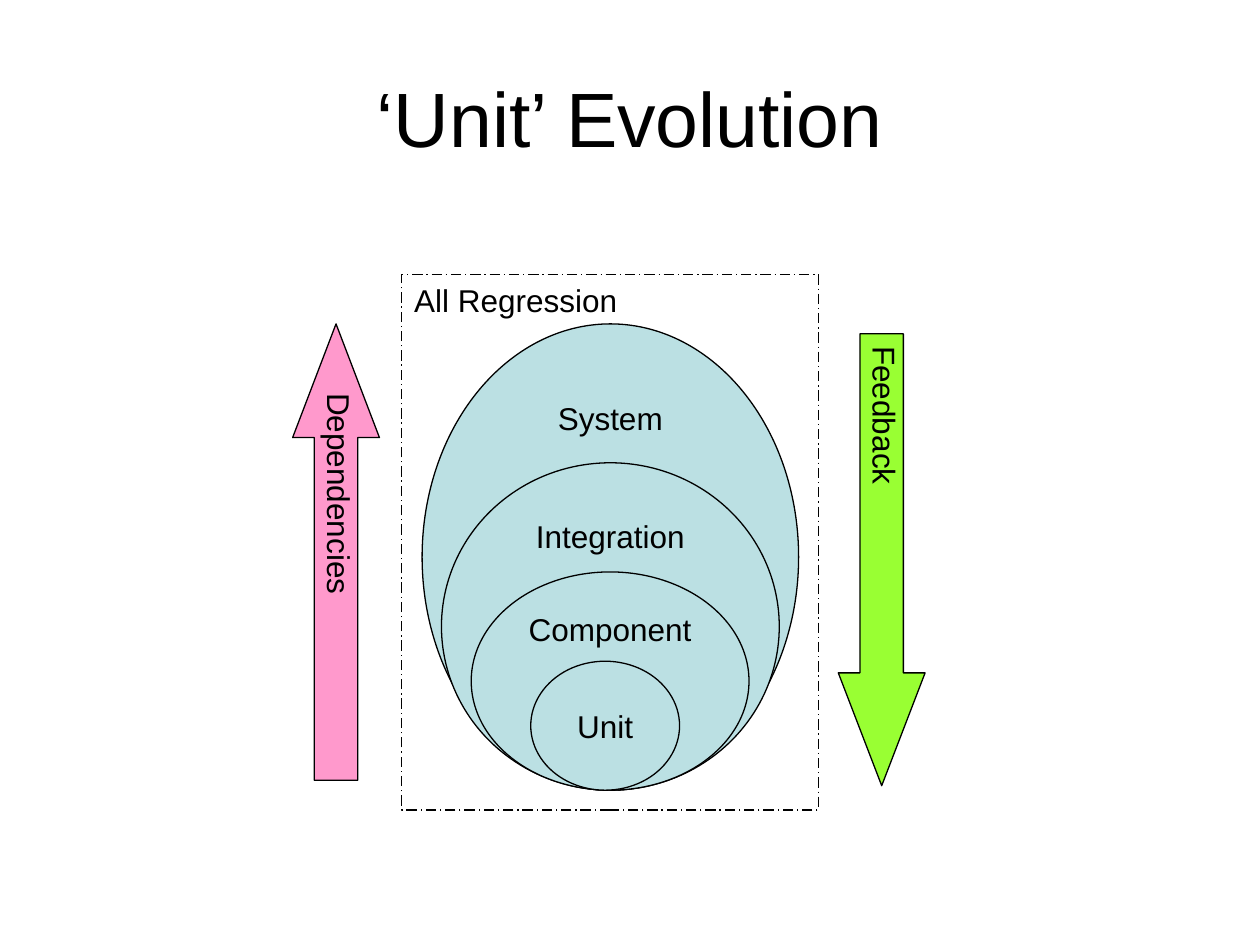
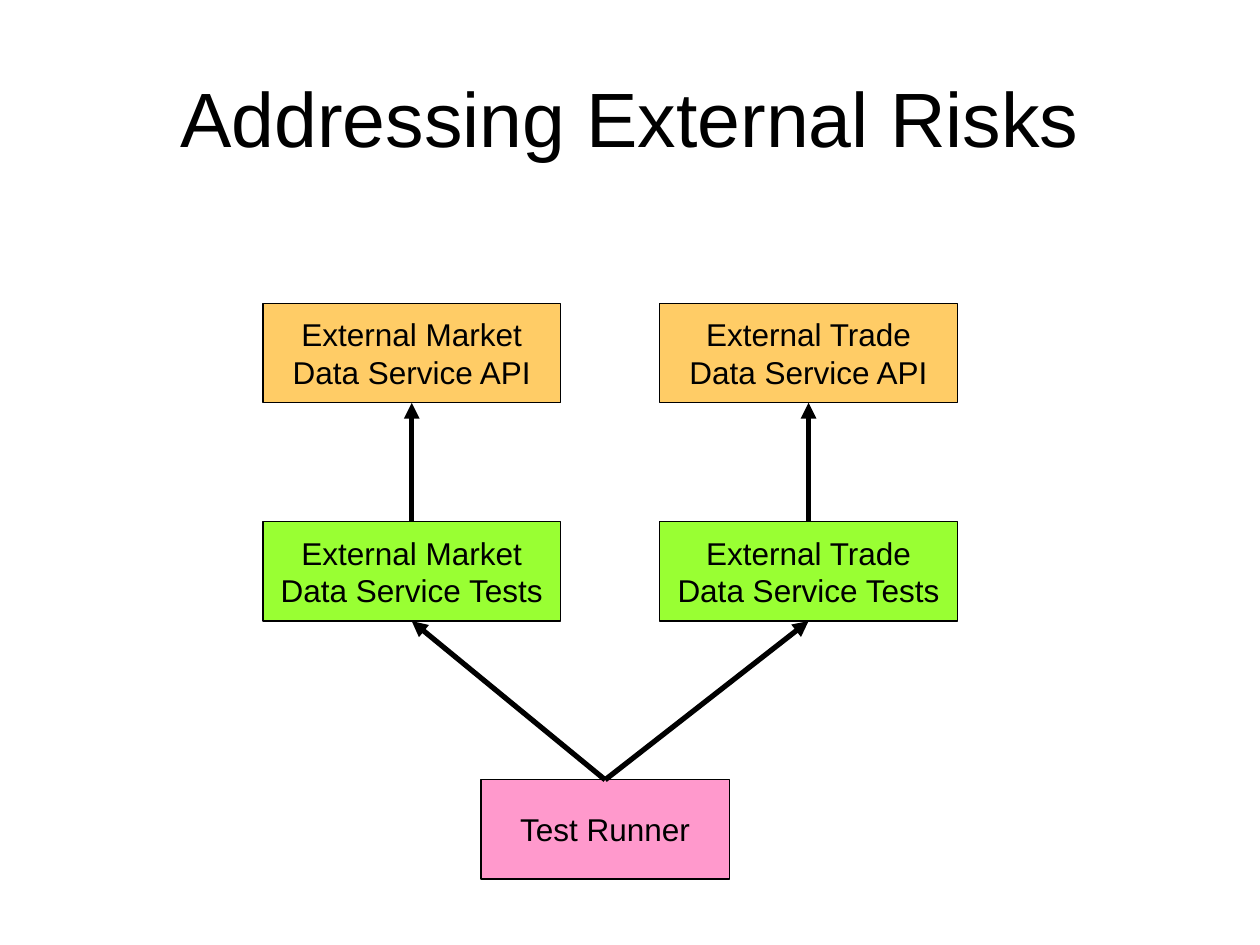
from lxml import etree
from pptx import Presentation
from pptx import util as u
from pptx.dml import color
from pptx.enum import dml, shapes, text
from pptx.oxml import ns

INK, TEAL, PINK, LIME, GOLD = "000000", "BBE0E3", "FF99CC", "99FF33", "FFCC66"
KIND = shapes.MSO_SHAPE
MID, TOP, LOW = (text.MSO_ANCHOR.MIDDLE, text.MSO_ANCHOR.TOP,
                 text.MSO_ANCHOR.BOTTOM)
MAIN, LEFT = text.PP_ALIGN.CENTER, text.PP_ALIGN.LEFT


def rgb(code):
    """Turn a hex string into a colour."""
    return color.RGBColor.from_string(code)


def put(item, vals):
    """Set each named value on an item."""
    for name, val in vals.items():
        setattr(item, name, val)


class Deck:
    """Holds the style and the current slide."""

    font = {"name": "Arial", "bold": False}
    pad = {"margin_left": u.Cm(0.25), "margin_right": u.Cm(0.25),
           "margin_top": u.Cm(0.13), "margin_bottom": u.Cm(0.13)}
    side = {"margin_left": u.Cm(0.13), "margin_right": u.Cm(0.13),
            "margin_top": u.Cm(0.25), "margin_bottom": u.Cm(0.25)}

    def __init__(self):
        """Start an empty deck."""
        self.prs = Presentation()
        put(self.prs, {"slide_width": u.Cm(25.4), "slide_height": u.Cm(19.05)})

    def label(self, frame, words, size, align, form):
        """Fill a text frame and format its paragraphs."""
        frame.text = words
        put(frame, form)
        for para in frame.paragraphs:
            para.alignment = align
            put(para.font, {**self.font, "size": u.Pt(size)})
            para.font.color.rgb = rgb(INK)

    def page(self, words):
        """Add a slide with a title."""
        self.slide = self.prs.slides.add_slide(self.prs.slide_layouts[5])
        head = self.slide.shapes.title
        put(head, {"left": u.Cm(1.27), "top": u.Cm(0.76),
                   "width": u.Cm(22.86), "height": u.Cm(3.18)})
        self.label(head.text_frame, words, 44, MAIN,
                   {**self.pad, "vertical_anchor": MID, "word_wrap": True})

    def shape(self, kind, box, words, fill=None, anchor=MID, align=MAIN,
              wrap=False, pad=None):
        """Add an outlined shape with text."""
        item = self.slide.shapes.add_shape(kind, *map(u.Cm, box))
        item.shadow.inherit = False
        if fill:
            item.fill.solid()
            item.fill.fore_color.rgb = rgb(fill)
        else:
            item.fill.background()
        item.line.width = u.Pt(0.75)
        item.line.color.rgb = rgb(INK)
        self.label(item.text_frame, words, 18, align,
                   {**(pad or self.pad), "vertical_anchor": anchor,
                    "word_wrap": wrap})
        return item

    def arrow(self, kind, box, words, fill, ratio):
        """Add a block arrow with text running down it."""
        item = self.shape(kind, box, words, fill, LOW, pad=self.side)
        item.adjustments[1] = ratio
        item.element.txBody.bodyPr.set("vert", "eaVert")

    def link(self, low, high):
        """Join the top of one shape to the bottom of another."""
        line = self.slide.shapes.add_connector(
            shapes.MSO_CONNECTOR.STRAIGHT, 0, 0, 0, 0)
        line.begin_connect(low, 0)
        line.end_connect(high, 2)
        line.line.width = u.Pt(3)
        line.line.color.rgb = rgb(INK)
        props = line.element.spPr
        tip = etree.SubElement(props.find(ns.qn("a:ln")), ns.qn("a:tailEnd"))
        tip.set("type", "triangle")
        etree.SubElement(props, ns.qn("a:effectLst"))


def units(deck):
    """Build the nested test levels."""
    deck.page("‘Unit’ Evolution")
    base = 15.93
    for words, left, wide, high, anchor in (
            ("System", 8.51, 7.59, 9.4, TOP),
            ("Integration", 8.9, 6.81, 6.6, TOP),
            ("Component", 9.5, 5.6, 4.4, TOP),
            ("Unit", 10.7, 3, 2.6, MID)):
        deck.shape(KIND.OVAL, (left, base - high, wide, high), words, TEAL,
                   anchor)
    deck.arrow(KIND.UP_ARROW, (5.9, 6.53, 1.75, 9.2), "Dependencies", PINK,
               1.31)
    deck.arrow(KIND.DOWN_ARROW, (16.9, 6.73, 1.75, 9.11), "Feedback", LIME,
               1.3)
    frame = deck.shape(KIND.RECTANGLE, (8.1, 5.53, 8.4, 10.8),
                       "All Regression", None, TOP, LEFT, True)
    frame.line.dash_style = dml.MSO_LINE.LONG_DASH_DOT


def risks(deck):
    """Build the tests around the external services."""
    deck.page("Addressing External Risks")
    step = KIND.FLOWCHART_PROCESS
    run = deck.shape(step, (9.7, 15.72, 5, 2), "Test Runner", PINK)
    for left, name in ((5.3, "Market"), (13.3, "Trade")):
        api, test = (
            deck.shape(step, (left, top, 6, 2),
                       f"External {name}\nData Service {part}", fill)
            for top, part, fill in ((6.12, "API", GOLD),
                                    (10.52, "Tests", LIME)))
        deck.link(test, api)
        deck.link(run, test)


def main():
    """Build and save the deck."""
    deck = Deck()
    units(deck)
    risks(deck)
    deck.prs.save("out.pptx")


if __name__ == "__main__":
    main()
